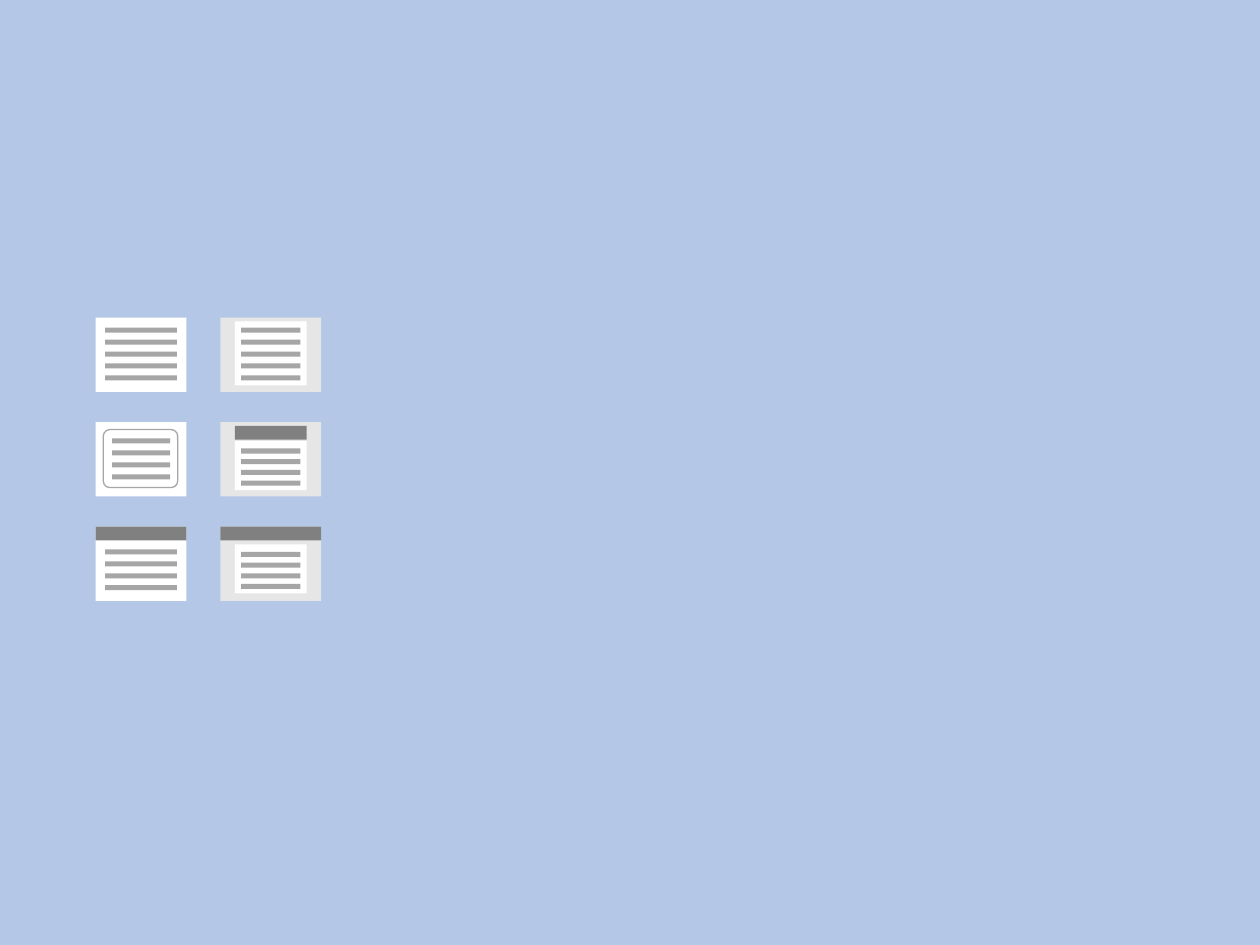
from pptx import Presentation
from pptx.dml.color import RGBColor
from pptx.enum.shapes import MSO_SHAPE as Shape
from pptx.util import Inches, Pt

COLORS = {
    "background": "B4C7E7",
    "paper": "FFFFFF",
    "margin": "E6E6E6",
    "text_line": "A6A6A6",
    "header": "808080",
}
LEFT_X, RIGHT_X = 0.76, 1.75
ROW_Y = [2.52 + 0.83 * row for row in range(3)]
LEFT_WIDTH, RIGHT_WIDTH, ICON_HEIGHT = 0.72, 0.8, 0.59
SHEET_WIDTH = 0.57
BAR_HEIGHT, HEADER_HEIGHT = 0.04, 0.11
LOOSE_PITCH, TIGHT_PITCH = 0.38 / 4, 0.17 / 2


def color(name):
    return RGBColor.from_string(COLORS[name])


class LayoutIcon:
    """One grouped page-layout icon; lengths are inches from its top left corner."""

    def __init__(self, slide, left, top, width, fill):
        self.group = slide.shapes.add_group_shape()
        self.left, self.top, self.width = left, top, width
        self.box(0, 0, width, ICON_HEIGHT, fill)

    def box(self, x, y, width, height, fill, kind=Shape.RECTANGLE):
        box = self.group.shapes.add_shape(
            kind, Inches(self.left + x), Inches(self.top + y),
            Inches(width), Inches(height))
        box.shadow.inherit = False
        box.fill.solid()
        box.fill.fore_color.rgb = color(fill)
        box.line.fill.background()
        return box

    def frame(self, x, y, width, height):
        frame = self.box(x, y, width, height, "paper", Shape.ROUNDED_RECTANGLE)
        frame.adjustments[0] = 0.11
        frame.line.color.rgb = color("text_line")
        frame.line.width = Pt(0.75)

    def sheet(self, y, height):
        self.box((self.width - SHEET_WIDTH) / 2, y, SHEET_WIDTH, height, "paper")

    def header(self, y=0, width=None):
        """Add a centred header band, as wide as the icon unless told otherwise."""
        width = width or self.width
        self.box((self.width - width) / 2, y, width, HEADER_HEIGHT, "header")

    def text_lines(self, y, width, count, pitch=LOOSE_PITCH):
        x = (self.width - width) / 2
        for index in range(count):
            self.box(x, y + index * pitch, width, BAR_HEIGHT, "text_line")


def draw_full_width_icons(slide):
    plain, framed, headed = [
        LayoutIcon(slide, LEFT_X, y, LEFT_WIDTH, "paper") for y in ROW_Y]
    plain.text_lines(0.08, 0.57, 5)
    framed.frame(0.06, 0.06, 0.59, 0.46)
    framed.text_lines(0.13, 0.46, 4)
    headed.text_lines(0.18, 0.57, 4)
    headed.header()


def draw_centred_icons(slide):
    plain, inner_header, outer_header = [
        LayoutIcon(slide, RIGHT_X, y, RIGHT_WIDTH, "margin") for y in ROW_Y]
    plain.sheet(0.03, 0.51)
    plain.text_lines(0.08, 0.47, 5)
    inner_header.sheet(0.15, 0.39)
    inner_header.text_lines(0.21, 0.47, 4, TIGHT_PITCH)
    inner_header.header(0.03, SHEET_WIDTH)
    outer_header.sheet(0.14, 0.39)
    outer_header.text_lines(0.2, 0.47, 4, TIGHT_PITCH)
    outer_header.header()


def main():
    deck = Presentation()
    deck.slide_width, deck.slide_height = Inches(10), Inches(7.5)
    slide = deck.slides.add_slide(deck.slide_layouts[6])
    slide.background.fill.solid()
    slide.background.fill.fore_color.rgb = color("background")
    draw_full_width_icons(slide)
    draw_centred_icons(slide)
    deck.save("out.pptx")


if __name__ == "__main__":
    main()
